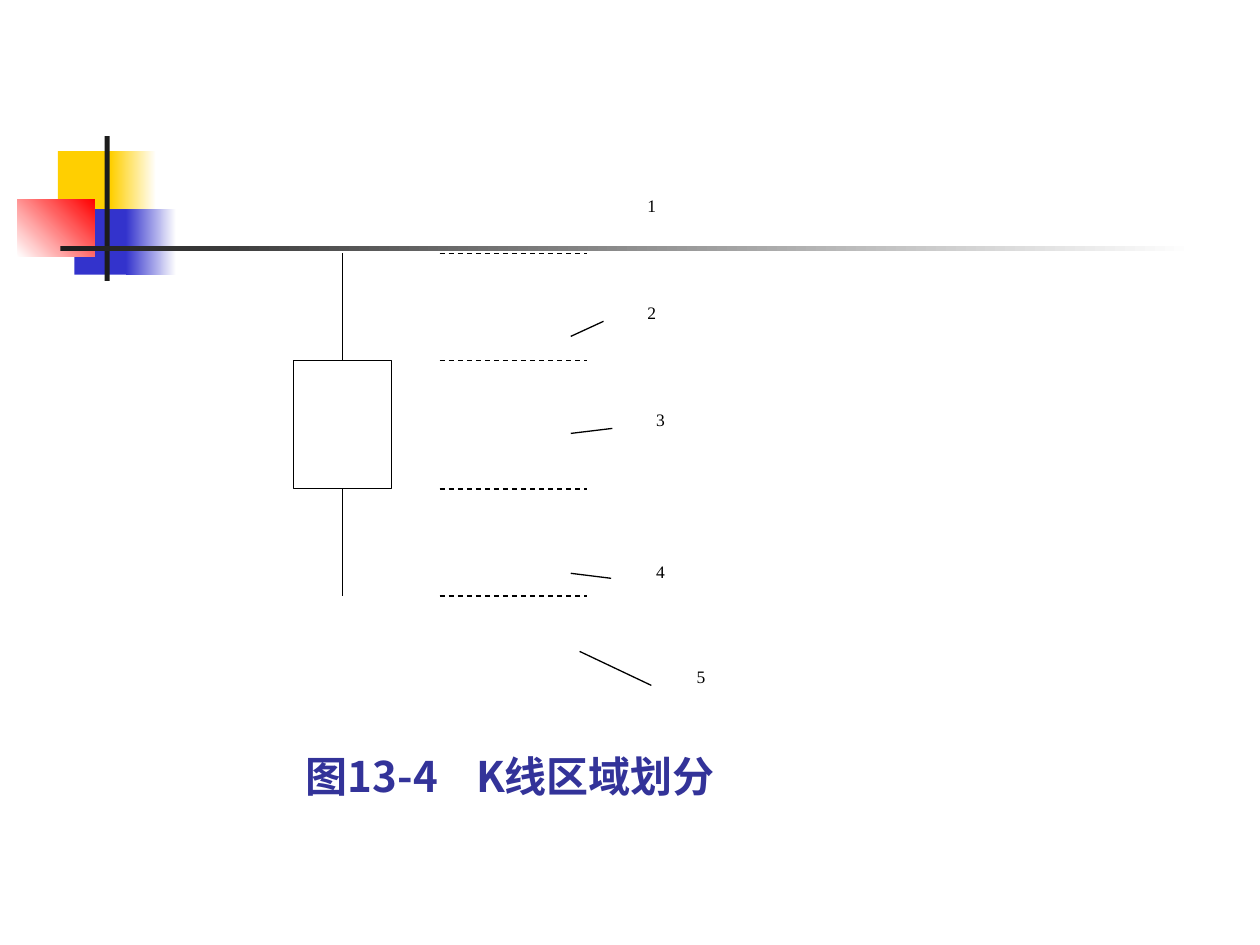
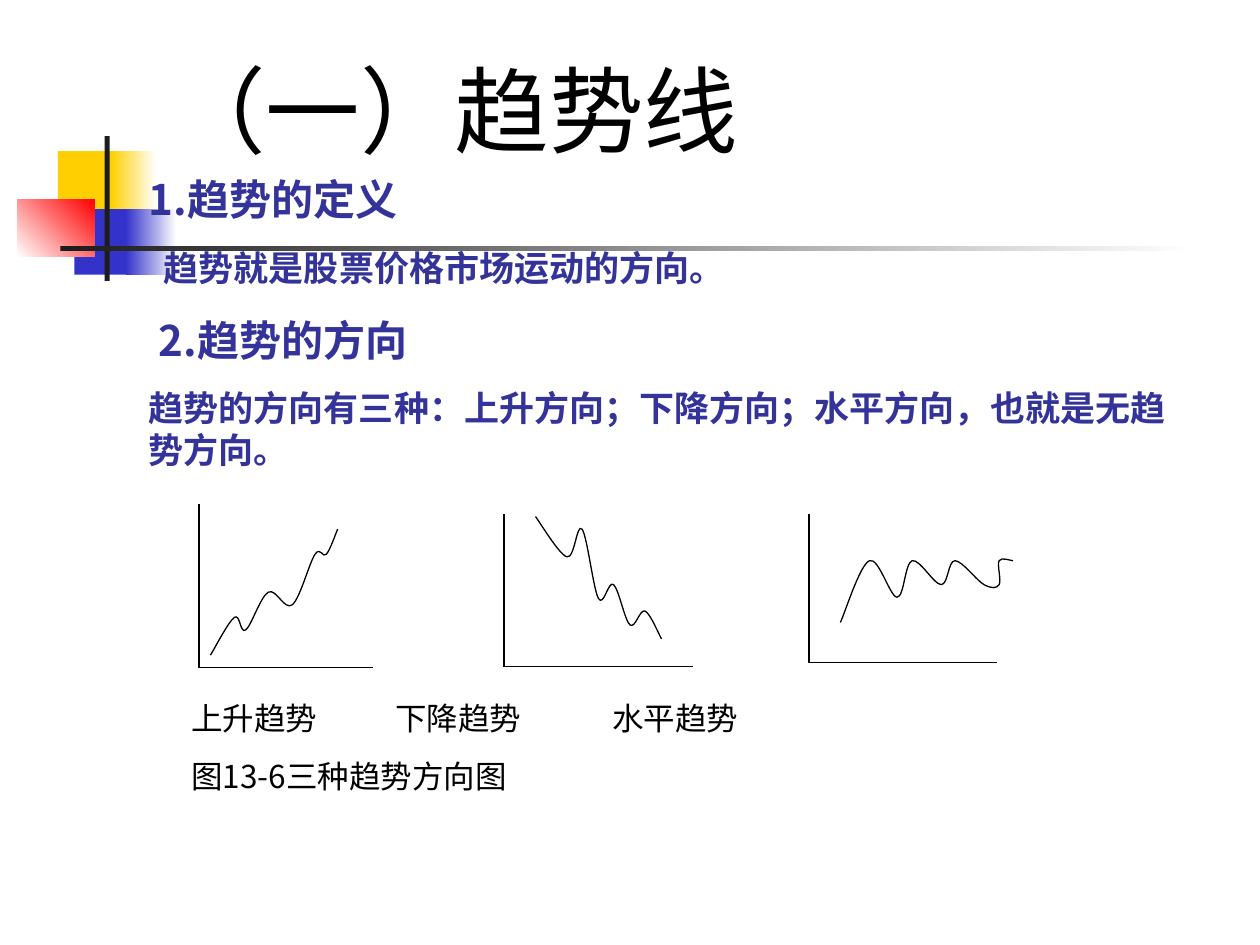
import pptx
import pptx.dml.color
import pptx.enum.dml
import pptx.enum.shapes
import pptx.enum.text
import pptx.oxml
import pptx.oxml.ns
import pptx.util
from lxml import etree

SLIDE_SIZE = (10, 7.5)
CJK, SERIF = "Noto Sans CJK SC", "Times New Roman"
BLACK, WHITE, INDIGO = "000000", "FFFFFF", "333399"
YELLOW, BLUE, RED, CHARCOAL = "FFCF01", "3333CC", "FF0000", "1C1C1C"

# left, top, width, height, colours (two make a gradient), gradient angle
DECORATION = [
    (0.46, 1.20, 0.48, 0.52, [YELLOW], 0),
    (0.88, 1.20, 0.36, 0.52, [YELLOW, WHITE], 0),
    (0.59, 1.66, 0.46, 0.52, [BLUE], 0),
    (1.00, 1.66, 0.40, 0.52, [BLUE, WHITE], 0),
    (0.14, 1.58, 0.61, 0.46, [WHITE, RED], 45),
    (0.83, 1.08, 0.04, 1.15, [CHARCOAL], 0),
    (0.48, 1.95, 9.00, 0.04, [CHARCOAL, WHITE], 0),
]

# Candlestick and its price zones
CANDLE_LEFT, CANDLE_WIDTH = 2.33, 0.78
HIGH, OPEN, CLOSE, LOW = 2.01, 2.86, 3.88, 4.73
ZONE_LEFT, ZONE_RIGHT = 3.49, 4.66
# label, box, leader line
ZONES = [
    ("1", (5.04, 1.50, 3.10, 1.05), None),
    ("2", (5.04, 2.35, 3.03, 1.26), (4.53, 2.67, 4.79, 2.55)),
    ("3", (5.11, 3.20, 3.80, 0.51), (4.53, 3.44, 4.86, 3.40)),
    ("4", (5.11, 4.40, 3.10, 1.05), (4.53, 4.55, 4.85, 4.59)),
    ("5", (5.43, 5.24, 3.49, 0.51), (4.60, 5.17, 5.17, 5.44)),
]
CANDLE_CAPTION = "图13-4\tK线区域划分"

TREND_TITLE = "（一）趋势线"
# text, size, space before, left indent in inches
TREND_POINTS = [
    ("1.趋势的定义", 24, 0, 0),
    ("趋势就是股票价格市场运动的方向。", 20, 12.5, 0.12),
    ("2.趋势的方向", 24, 15, 0.08),
    ("趋势的方向有三种：上升方向；下降方向；水平方向，也就是无趋势方向。", 20, 12.5, 0),
]
# axis left, top, right, bottom and the points the curve passes through
TRENDS = [
    ((1.58, 4.00, 2.96, 5.30),
     [(1.67, 5.20), (1.86, 4.90), (1.95, 5.00), (2.13, 4.70), (2.32, 4.80),
      (2.50, 4.40), (2.59, 4.40), (2.68, 4.20)]),
    ((4.00, 4.08, 5.50, 5.29),
     [(4.25, 4.10), (4.50, 4.42), (4.62, 4.20), (4.75, 4.75), (4.87, 4.64),
      (5.00, 4.96), (5.12, 4.85), (5.25, 5.07)]),
    ((6.42, 4.08, 7.91, 5.26),
     [(6.67, 4.94), (6.90, 4.45), (7.12, 4.74), (7.24, 4.45), (7.47, 4.64),
      (7.58, 4.45), (7.81, 4.64), (7.93, 4.64), (7.93, 4.45), (8.04, 4.45)]),
]
TREND_CAPTIONS = ["上升趋势\t下降趋势\t水平趋势", "图13-6三种趋势方向图"]

Inches, Pt = pptx.util.Inches, pptx.util.Pt
qn = pptx.oxml.ns.qn
RECTANGLE = pptx.enum.shapes.MSO_SHAPE.RECTANGLE
DASH = pptx.enum.dml.MSO_LINE.DASH


def color(hex_value):
    return pptx.dml.color.RGBColor.from_string(hex_value)


def inches(*values):
    return [Inches(value) for value in values]


def set_outline(shape, dash=None):
    shape.line.color.rgb = color(BLACK)
    shape.line.width = Pt(0.75)
    if dash:
        shape.line.dash_style = dash


def add_line(slide, x1, y1, x2, y2, dash=None):
    line = slide.shapes.add_connector(
        pptx.enum.shapes.MSO_CONNECTOR.STRAIGHT, *inches(x1, y1, x2, y2))
    set_outline(line, dash)
    etree.SubElement(line.element.spPr, qn("a:effectLst"))
    return line


def format_paragraph(paragraph, size, font, hex_value, bold=False, before=0):
    paragraph.space_before = Pt(before)
    for run in paragraph.runs:
        run.font.size = Pt(size)
        run.font.name = font
        run.font.bold = bold
        run.font.color.rgb = color(hex_value)


def use_east_asian_font(shape):
    """Give East Asian characters the same font as Latin ones."""
    for latin in list(shape.element.iter(qn("a:latin"))):
        east_asian = pptx.oxml.parse_xml(
            "<a:ea %s/>" % pptx.oxml.ns.nsdecls("a"))
        east_asian.set("typeface", latin.get("typeface"))
        latin.addnext(east_asian)


def replace_bullet_with_indent(paragraph, indent):
    properties = paragraph._p.get_or_add_pPr()
    properties.set("marL", str(Inches(indent)))
    properties.set("indent", "0")
    etree.SubElement(properties, qn("a:buNone"))


def set_tabs(paragraph, positions):
    tab_list = etree.SubElement(paragraph._p.get_or_add_pPr(), qn("a:tabLst"))
    for position in positions:
        etree.SubElement(tab_list, qn("a:tab"),
                         pos=str(Inches(position)), algn="l")


def place(shape, left, top, width, height):
    shape.left, shape.top, shape.width, shape.height = inches(
        left, top, width, height)


def fill_lines(shape, lines):
    """Write one text per paragraph and return the paragraphs."""
    frame = shape.text_frame
    frame.word_wrap = True
    frame.auto_size = pptx.enum.text.MSO_AUTO_SIZE.NONE
    frame.text = "\n".join(lines)
    return frame.paragraphs


def add_text(slide, box, lines, size, font, hex_value, bold=False, before=0, tabs=()):
    shape = slide.shapes.add_textbox(*inches(*box))
    for index, paragraph in enumerate(fill_lines(shape, lines)):
        if tabs:
            set_tabs(paragraph, tabs)
        format_paragraph(paragraph, size, font, hex_value, bold,
                         before if index else 0)
    use_east_asian_font(shape)


def decorate_master(presentation, slide):
    """Draw the coloured blocks and rules and move them to the slide master."""
    tree = presentation.slide_master.shapes.element
    for index, (left, top, width, height, colors, angle) in enumerate(DECORATION):
        shape = slide.shapes.add_shape(RECTANGLE, *inches(left, top, width, height))
        shape.shadow.inherit = False
        shape.line.fill.background()
        if len(colors) == 1:
            shape.fill.solid()
            shape.fill.fore_color.rgb = color(colors[0])
        else:
            shape.fill.gradient()
            shape.fill.gradient_angle = angle
            for stop, hex_value in zip(shape.fill.gradient_stops, colors):
                stop.color.rgb = color(hex_value)
        tree.insert(2 + index, shape.element)


def build_candle_slide(slide):
    candle = slide.shapes.add_shape(
        RECTANGLE, *inches(CANDLE_LEFT, OPEN, CANDLE_WIDTH, CLOSE - OPEN))
    candle.shadow.inherit = False
    candle.fill.solid()
    candle.fill.fore_color.rgb = color(WHITE)
    set_outline(candle)
    middle = CANDLE_LEFT + CANDLE_WIDTH / 2
    for side, start, end in [(0, OPEN, HIGH), (2, CLOSE, LOW)]:
        add_line(slide, middle, start, middle, end).begin_connect(candle, side)
    for level in (HIGH, OPEN, CLOSE, LOW):
        add_line(slide, ZONE_LEFT, level, ZONE_RIGHT, level, DASH)
    for label, box, leader in ZONES:
        add_text(slide, box, [label], 10, SERIF, BLACK)
        if leader:
            add_line(slide, *leader)
    add_text(slide, (CANDLE_LEFT, 5.91, 5, 0.5), [CANDLE_CAPTION], 24, CJK,
             INDIGO, bold=True, tabs=[1.35])


def smooth_path(shape):
    """Turn the straight segments of a freeform into Catmull-Rom curves."""
    points = [(int(point.get("x")), int(point.get("y")))
              for point in shape.element.iter(qn("a:pt"))]
    padded = [points[0]] + points + [points[-1]]
    segments = list(shape.element.iter(qn("a:lnTo")))
    for index, segment in enumerate(segments):
        before, start, end, after = padded[index:index + 4]
        controls = [
            [s + (e - b) / 6 for b, s, e in zip(before, start, end)],
            [e - (a - s) / 6 for s, e, a in zip(start, end, after)],
            end,
        ]
        curve = etree.Element(qn("a:cubicBezTo"))
        for x, y in controls:
            etree.SubElement(curve, qn("a:pt"), x=str(round(x)), y=str(round(y)))
        segment.getparent().replace(segment, curve)


def add_trend(slide, axes, points):
    left, top, right, bottom = axes
    add_line(slide, left, bottom, right, bottom)
    add_line(slide, left, top, left, bottom)
    start, *rest = [inches(*point) for point in points]
    builder = slide.shapes.build_freeform(*start)
    builder.add_line_segments(rest, close=False)
    curve = builder.convert_to_shape()
    smooth_path(curve)
    curve.shadow.inherit = False
    curve.fill.background()
    set_outline(curve)


def build_trend_slide(slide):
    title, body = slide.shapes.title, slide.placeholders[1]
    place(title, 1.26, 0.23, 6.82, 1.27)
    for paragraph in fill_lines(title, [TREND_TITLE]):
        paragraph.alignment = pptx.enum.text.PP_ALIGN.LEFT
        format_paragraph(paragraph, 54, CJK, BLACK)
    title.text_frame.vertical_anchor = pptx.enum.text.MSO_ANCHOR.MIDDLE
    use_east_asian_font(title)

    place(body, 1.08, 1.33, 8.5, 2.46)
    paragraphs = fill_lines(body, [point[0] for point in TREND_POINTS])
    for paragraph, (_, size, before, indent) in zip(paragraphs, TREND_POINTS):
        replace_bullet_with_indent(paragraph, indent)
        format_paragraph(paragraph, size, CJK, INDIGO, True, before)
    use_east_asian_font(body)

    for axes, points in TRENDS:
        add_trend(slide, axes, points)
    add_text(slide, (1.42, 5.5, 8.33, 1.32), TREND_CAPTIONS, 18, CJK, BLACK,
             before=11.2, tabs=[1.62, 3.34])


def main():
    presentation = pptx.Presentation()
    presentation.slide_width, presentation.slide_height = inches(*SLIDE_SIZE)
    layouts = presentation.slide_layouts
    candle_slide = presentation.slides.add_slide(layouts.get_by_name("Blank"))
    decorate_master(presentation, candle_slide)
    build_candle_slide(candle_slide)
    build_trend_slide(
        presentation.slides.add_slide(layouts.get_by_name("Title and Content")))
    presentation.save("out.pptx")


if __name__ == "__main__":
    main()
